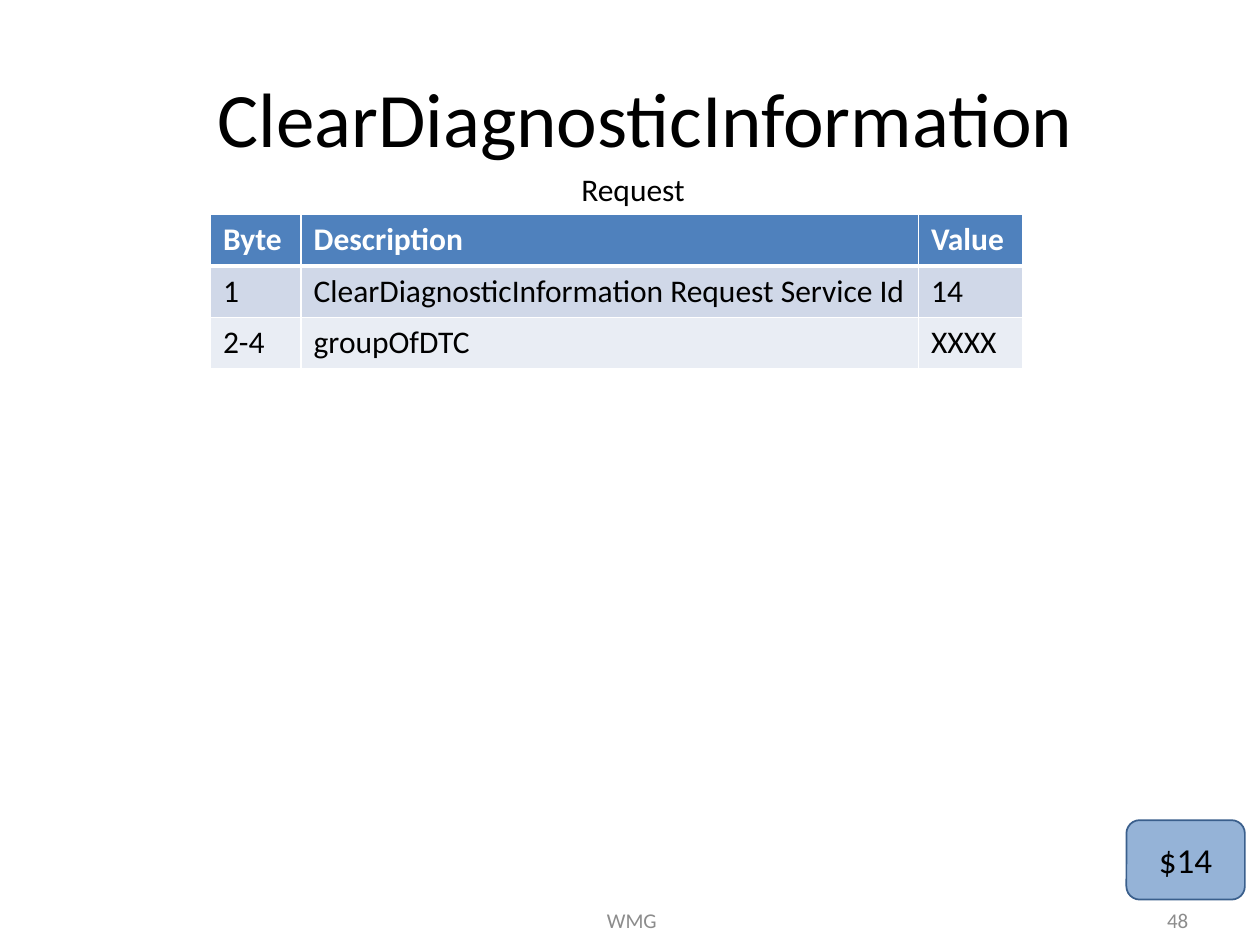
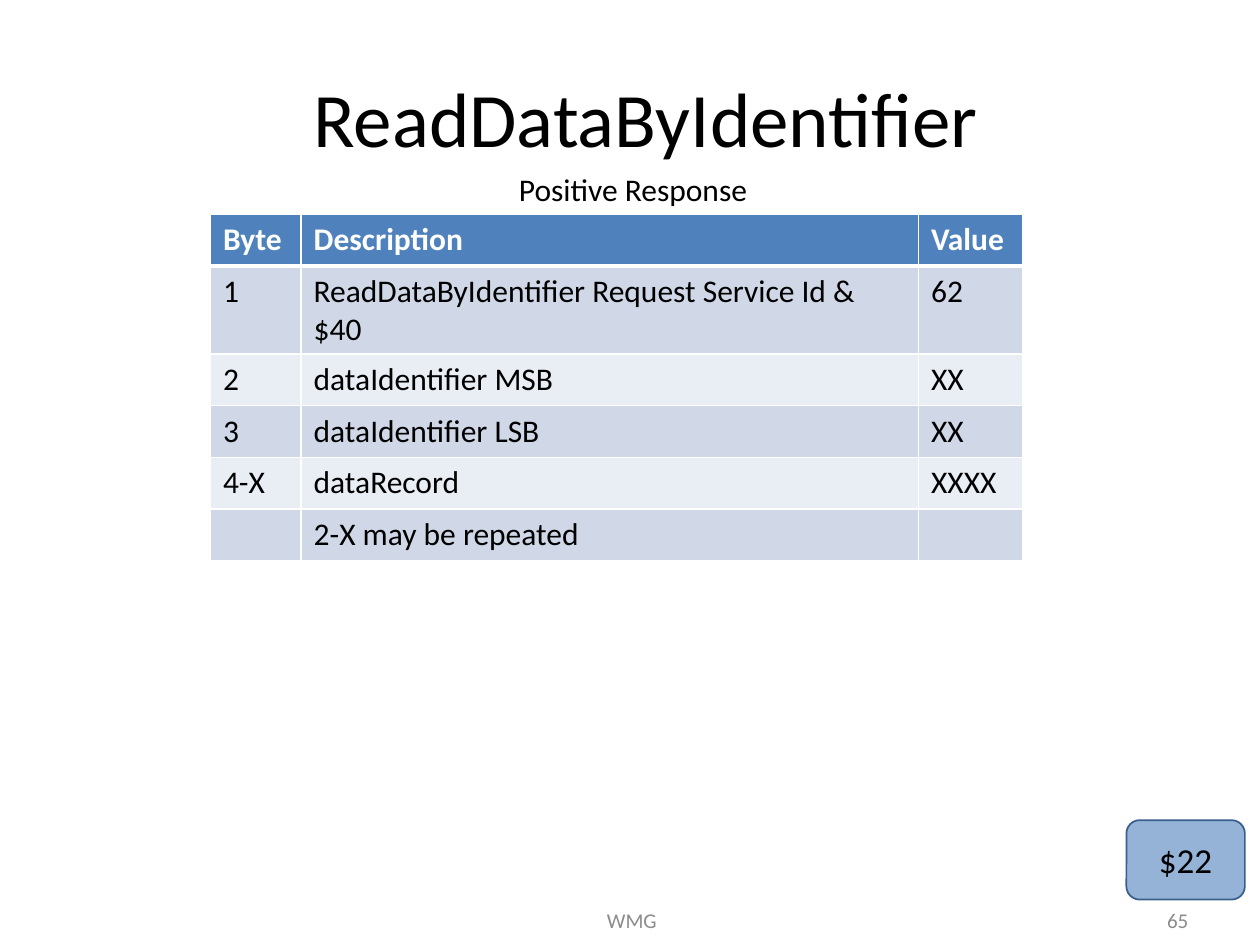
import pptx
import pptx.dml.color
import pptx.enum.shapes
import pptx.enum.text
import pptx.oxml
import pptx.oxml.ns
import pptx.util
from pptx.util import Inches

SLIDES = [
    {"title": "ClearDiagnosticInformation", "caption": "Request",
     "service": "$14", "number": "48",
     "rows": [("1", "ClearDiagnosticInformation Request Service Id", "14"),
              ("2-4", "groupOfDTC", "XXXX")]},
    {"title": "ReadDataByIdentifier", "caption": "Positive Response",
     "service": "$22", "number": "65",
     "rows": [("1", "ReadDataByIdentifier Request Service Id & $40", "62"),
              ("2", "dataIdentifier MSB", "XX"),
              ("3", "dataIdentifier LSB", "XX"),
              ("4-X", "dataRecord", "XXXX"),
              ("", "2-X may be repeated", "")]},
]
HEADER = ("Byte", "Description", "Value")
FOOTER = "WMG"
FONT = "Calibri"
COLORS = {"text": "000000", "white": "FFFFFF", "footer": "8C8C8C",
          "header": "4F81BD", "odd": "D0D8E8", "even": "E9EDF4",
          "badge": "95B3D7", "badge_line": "3A5F8C"}
COLUMNS = (0.72, 4.9, 0.83)
ROW_HEIGHT = 0.41
CENTER = pptx.enum.text.PP_ALIGN.CENTER
RIGHT = pptx.enum.text.PP_ALIGN.RIGHT
MIDDLE = pptx.enum.text.MSO_ANCHOR.MIDDLE
TOP = pptx.enum.text.MSO_ANCHOR.TOP


def rgb(name):
    return pptx.dml.color.RGBColor.from_string(COLORS[name])


def write(tf, text, size, color="text", align=None, bold=False):
    p = tf.paragraphs[0]
    p.alignment = align
    p.font.size = pptx.util.Pt(size)
    if not text:
        return
    r = p.add_run()
    r.text = text
    r.font.name = FONT
    r.font.size = pptx.util.Pt(size)
    r.font.bold = bold
    r.font.color.rgb = rgb(color)


def add_text(s, box, text, size, color="text", align=CENTER, anchor=MIDDLE, wrap=True):
    tf = s.shapes.add_textbox(*map(Inches, box)).text_frame
    tf.word_wrap = wrap
    tf.vertical_anchor = anchor
    write(tf, text, size, color, align)


def add_borders(cell, bottom):
    """Draw white cell edges; widths are in points."""
    tc_pr = cell._tc.get_or_add_tcPr()
    for side, width in (("L", 1), ("R", 1), ("T", 1), ("B", bottom)):
        tc_pr.append(pptx.oxml.parse_xml(
            f'<a:ln{side} {pptx.oxml.ns.nsdecls("a")} w="{pptx.util.Pt(width)}">'
            f'<a:solidFill><a:srgbClr val="{COLORS["white"]}"/></a:solidFill>'
            f'</a:ln{side}>'))


def add_message_table(s, rows):
    rows = [HEADER, *rows]
    table = s.shapes.add_table(
        len(rows), len(COLUMNS), Inches(1.67), Inches(1.7),
        Inches(sum(COLUMNS)), Inches(ROW_HEIGHT * len(rows))).table
    for column, width in zip(table.columns, COLUMNS):
        column.width = Inches(width)
    for i, values in enumerate(rows):
        table.rows[i].height = Inches(ROW_HEIGHT)
        head = i == 0
        fill = "header" if head else "odd" if i % 2 else "even"
        for j, value in enumerate(values):
            cell = table.cell(i, j)
            add_borders(cell, 3 if head else 1)
            cell.fill.solid()
            cell.fill.fore_color.rgb = rgb(fill)
            write(cell.text_frame, value, 18, "white" if head else "text", bold=head)


def add_badge(s, text):
    sp = s.shapes.add_shape(pptx.enum.shapes.MSO_SHAPE.ROUNDED_RECTANGLE,
                            *map(Inches, (8.94, 6.51, 0.94, 0.63)))
    sp.shadow.inherit = False
    sp.fill.solid()
    sp.fill.fore_color.rgb = rgb("badge")
    sp.line.color.rgb = rgb("badge_line")
    sp.line.width = pptx.util.Pt(1)
    sp.text_frame.vertical_anchor = MIDDLE
    write(sp.text_frame, text, 20, align=CENTER)


def main():
    prs = pptx.Presentation()
    prs.slide_width, prs.slide_height = Inches(10), Inches(7.5)
    for content in SLIDES:
        s = prs.slides.add_slide(prs.slide_layouts[6])
        add_text(s, (0.75, 0.3, 8.75, 1.25), content["title"], 44)
        add_text(s, (3.43, 7.1, 3.17, 0.4), FOOTER, 12, "footer")
        add_text(s, (7.2, 7.1, 2.33, 0.4), content["number"], 12, "footer", RIGHT)
        add_message_table(s, content["rows"])
        add_badge(s, content["service"])
        add_text(s, (4.01, 1.3, 2.03, 0.4), content["caption"], 18,
                 anchor=TOP, wrap=False)
    prs.save("out.pptx")


if __name__ == "__main__":
    main()
